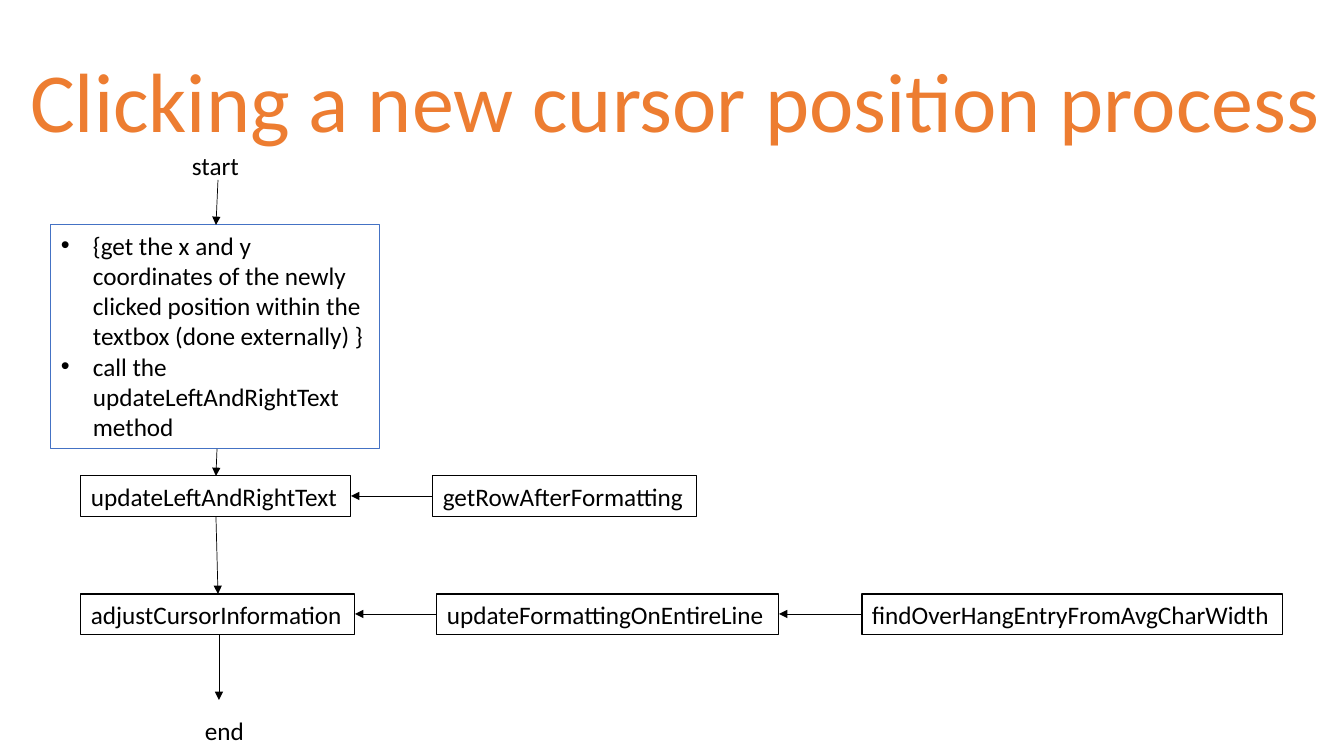
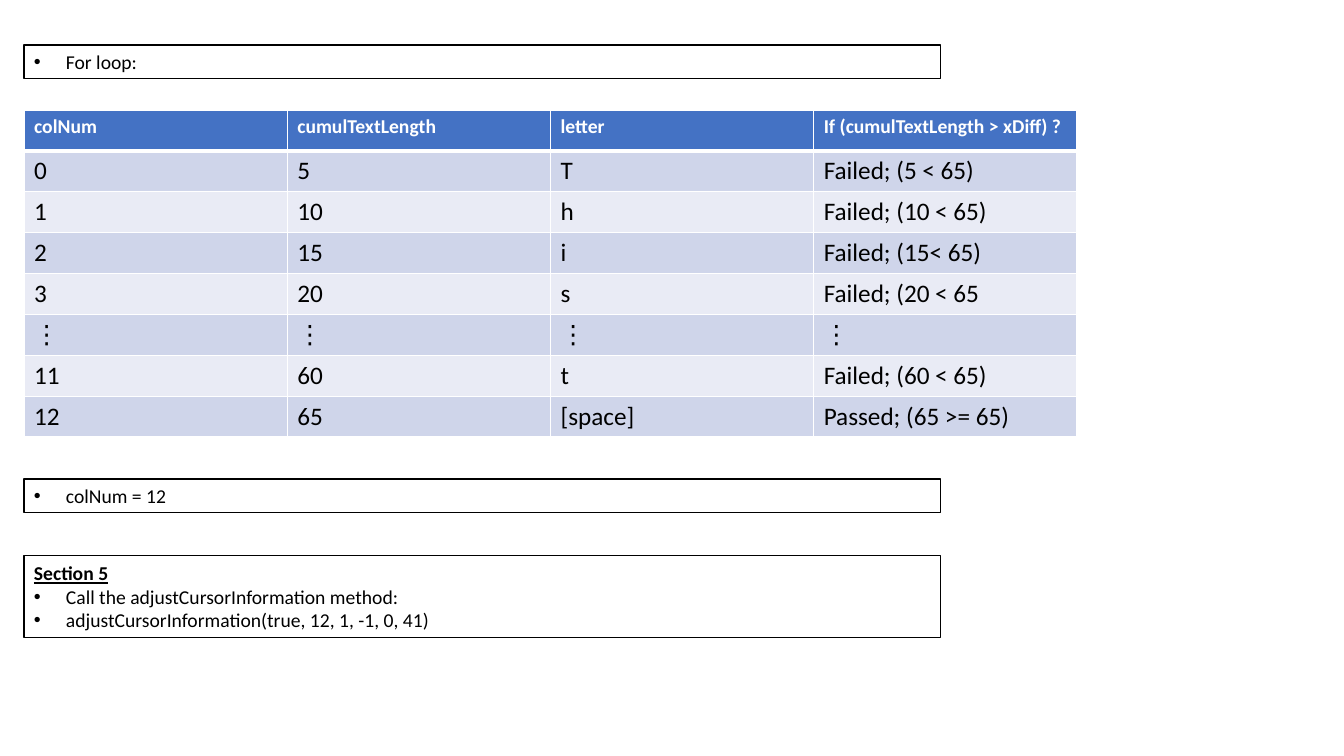
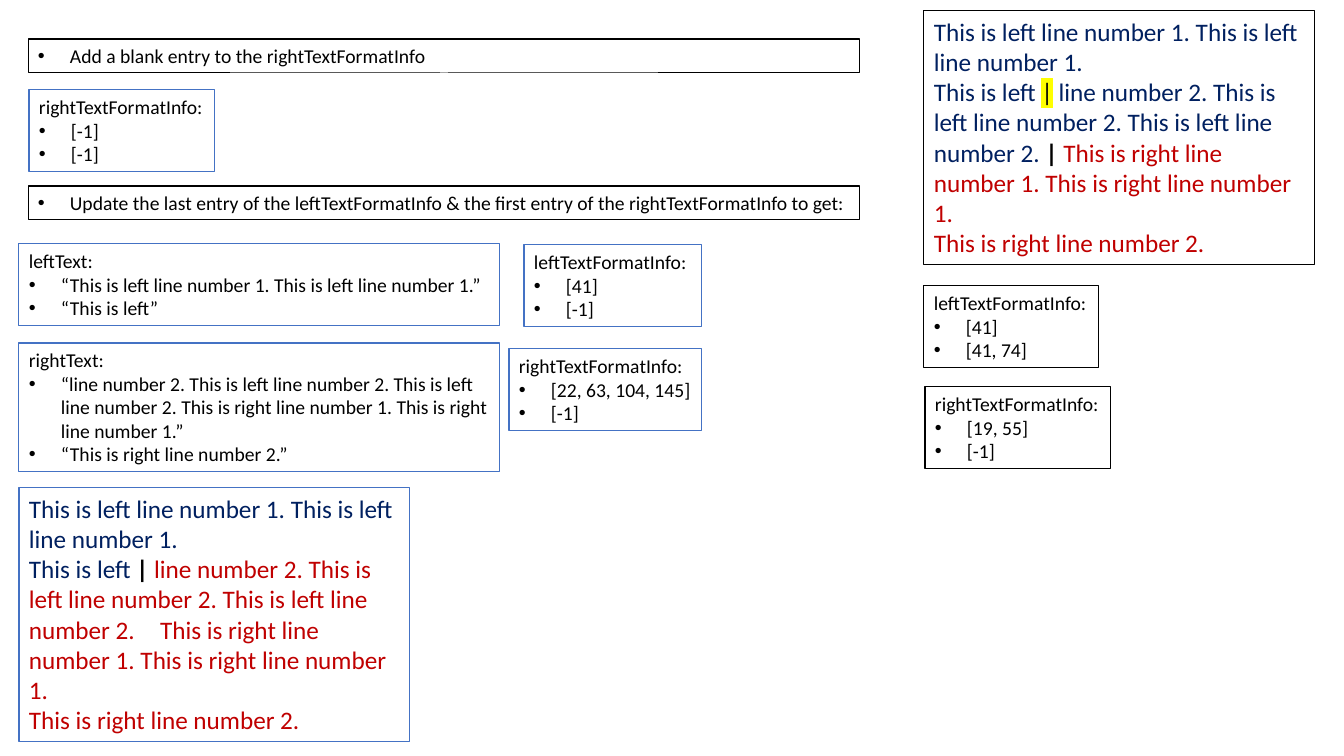
from lxml import etree
from pptx import Presentation
from pptx.dml.color import RGBColor
from pptx.enum import shapes, text
from pptx.oxml import ns
from pptx.util import Pt

PX = 914400 / 100.8
FONT = "Calibri"
COLORS = {
    "title": "ED7D31", "black": "000000", "white": "FFFFFF", "blue": "4472C4",
    "band": "CFD5EA", "light": "E9EBF5", "left": "002060", "right": "C00000",
    "mark": "FFFF00",
}
RGB = {name: RGBColor.from_string(value) for name, value in COLORS.items()}


def write(p, words, size=18, color="black", bold=False, underline=False,
          highlight=None, bullet=False):
    """Add one formatted run to a paragraph."""
    p.alignment = text.PP_ALIGN.LEFT
    if bullet:
        pPr = p._p.get_or_add_pPr()
        pPr.set("marL", str(round(32 * PX)))
        pPr.set("indent", str(round(-32 * PX)))
        etree.SubElement(pPr, ns.qn("a:buFont")).set("typeface", "Arial")
        etree.SubElement(pPr, ns.qn("a:buChar")).set("char", "•")
    r = p.add_run()
    r.text = words
    r.font.size, r.font.name = Pt(size), FONT
    r.font.bold, r.font.underline = bold, underline
    r.font.color.rgb = RGB[color]
    if highlight:
        mark = etree.Element(ns.qn("a:highlight"))
        etree.SubElement(mark, ns.qn("a:srgbClr")).set("val", COLORS[highlight])
        r._r.rPr.find(ns.qn("a:solidFill")).addnext(mark)


def box(s, at, head=None, items=(), line="black", size=14, **style):
    """Add a box with an optional heading and a bullet list."""
    at = [round(n * PX) for n in at]
    if line:
        sp = s.shapes.add_shape(shapes.MSO_SHAPE.RECTANGLE, *at)
        sp.shadow.inherit = False
        sp.fill.background()
        sp.line.color.rgb, sp.line.width = RGB[line], Pt(0.75)
    else:
        sp = s.shapes.add_textbox(*at)
    tf = sp.text_frame
    tf.word_wrap = True
    tf.vertical_anchor = text.MSO_ANCHOR.TOP
    if head:
        write(tf.paragraphs[0], head, size, **style)
    for i, item in enumerate(items):
        p = tf.add_paragraph() if head or i else tf.paragraphs[0]
        write(p, item, size, bullet=True)
    return tf


prs = Presentation()
prs.slide_width, prs.slide_height = round(1344 * PX), round(756 * PX)
title_only, blank = prs.slide_layouts[5], prs.slide_layouts[6]

# Slide 1: flow chart
s = prs.slides.add_slide(title_only)
title = s.shapes.title
title.left, title.top, title.width, title.height = [
    round(n * PX) for n in (20, 43, 1324, 112)]
tf = title.text_frame
tf.auto_size = text.MSO_AUTO_SIZE.NONE
tf.vertical_anchor = text.MSO_ANCHOR.TOP
write(tf.paragraphs[0], "Clicking a new cursor position process", 60, "title")

for x, y, w, name in [
    (81, 476, 270, "updateLeftAndRightText"),
    (433, 476, 264, "getRowAfterFormatting"),
    (81, 594, 274, "adjustCursorInformation"),
    (437, 594, 342, "updateFormattingOnEntireLine"),
    (862, 594, 421, "findOverHangEntryFromAvgCharWidth"),
]:
    box(s, (x, y, w, 41), name, size=18)
box(s, (182, 145, 68, 41), "start", line=None, size=18)
box(s, (195, 710, 60, 41), "end", line=None, size=18)
box(s, (51, 225, 329, 224), line="blue", size=18, items=[
    "{get the x and y coordinates of the newly clicked position within the "
    "textbox (done externally) }",
    "call the updateLeftAndRightText method"])

# Arrows between the steps
for ends in [
    (218, 180, 216, 225), (217, 449, 216, 476), (216, 517, 218, 594),
    (219, 635, 219, 700), (433, 496, 351, 496), (437, 614, 355, 614),
    (862, 614, 779, 614),
]:
    arrow = s.shapes.add_connector(shapes.MSO_CONNECTOR.STRAIGHT,
                                   *[round(n * PX) for n in ends])
    arrow.line.color.rgb, arrow.line.width = RGB["black"], Pt(0.5)
    etree.SubElement(arrow.line._get_or_add_ln(),
                     ns.qn("a:tailEnd")).set("type", "triangle")
    etree.SubElement(arrow._element.spPr, ns.qn("a:effectLst"))

# Slide 2: loop table
s = prs.slides.add_slide(blank)
box(s, (24, 45, 917, 34), items=["For loop:"])
rows = [
    ("colNum", "cumulTextLength", "letter", "If (cumulTextLength > xDiff) ?"),
    ("0", "5", "T", "Failed; (5 < 65)"),
    ("1", "10", "h", "Failed; (10 < 65)"),
    ("2", "15", "i", "Failed; (15< 65)"),
    ("3", "20", "s", "Failed; (20 < 65"),
    ("⋮", "⋮", "⋮", "⋮"),
    ("11", "60", "t", "Failed; (60 < 65)"),
    ("12", "65", "[space]", "Passed; (65 >= 65)"),
]
table = s.shapes.add_table(len(rows), 4, *[
    round(n * PX) for n in (24, 110, 1053, 327)]).table
for i, row in enumerate(rows):
    for j, words in enumerate(row):
        cell = table.cell(i, j)
        tcPr = cell._tc.get_or_add_tcPr()
        for side in "LRTB":
            thick = (i, side) in [(0, "B"), (1, "T")]
            ln = etree.SubElement(tcPr, ns.qn("a:ln" + side))
            ln.set("w", str(Pt(3 if thick else 1)))
            fill = etree.SubElement(ln, ns.qn("a:solidFill"))
            etree.SubElement(fill, ns.qn("a:srgbClr")).set("val", COLORS["white"])
        cell.fill.solid()
        cell.fill.fore_color.rgb = RGB[
            "blue" if i == 0 else "band" if i % 2 else "light"]
        if i == 0:
            write(cell.text_frame.paragraphs[0], words, 14, "white", bold=True)
        else:
            write(cell.text_frame.paragraphs[0], words)

box(s, (24, 479, 917, 34), items=["colNum = 12"])
box(s, (24, 556, 917, 82), "Section 5", bold=True, underline=True, items=[
    "Call the adjustCursorInformation method:",
    "adjustCursorInformation(true, 12, 1, -1, 0, 41)"])

# Slide 3: format information
s = prs.slides.add_slide(blank)
box(s, (28, 39, 832, 34), items=["Add a blank entry to the rightTextFormatInfo"])
box(s, (28, 186, 832, 34), items=[
    "Update the last entry of the leftTextFormatInfo & the first entry of the "
    "rightTextFormatInfo to get:"])
for x, y, w, side, line, items in [
    (924, 286, 175, "left", "black", ["[41]", "[41, 74]"]),
    (925, 387, 186, "right", "black", ["[19, 55]", "[-1]"]),
    (29, 90, 186, "right", "blue", ["[-1]", "[-1]"]),
    (509, 349, 193, "right", "blue", ["[22, 63, 104, 145]", "[-1]"]),
    (524, 245, 178, "left", "blue", ["[41]", "[-1]"]),
]:
    box(s, (x, y, w, 82), side + "TextFormatInfo:", items, line)
box(s, (19, 244, 481, 82), "leftText:", line="blue", items=[
    "“This is left line number 1. This is left line number 1.”",
    "“This is left”"])
box(s, (19, 343, 481, 129), "rightText:", line="blue", items=[
    "“line number 2. This is left line number 2. This is left line number 2. "
    "This is right line number 1. This is right line number 1.”",
    "“This is right line number 2.”"])

# Sample text before and after the cursor moves
left_lines = " line number 2. This is left line number 2. This is left line number 2."
right_lines = "This is right line number 1. This is right line number 1. "
for at, line, runs in [
    ((924, 11, 391, 254), "black", [
        ("|", {"highlight": "mark"}),
        (left_lines + " ", {"color": "left"}),
        ("| ", {"bold": True}),
        (right_lines, {"color": "right"})]),
    ((19, 488, 391, 254), "blue", [
        ("|", {"bold": True}),
        (left_lines + "\u2003" + right_lines, {"color": "right"})]),
]:
    tf = box(s, at, "This is left line number 1. This is left line number 1.",
             line=line, size=18, color="left")
    p = tf.add_paragraph()
    write(p, "This is left ", color="left")
    for words, style in runs:
        write(p, words, **style)
    write(tf.add_paragraph(), "This is right line number 2.", color="right")

prs.save("out.pptx")
